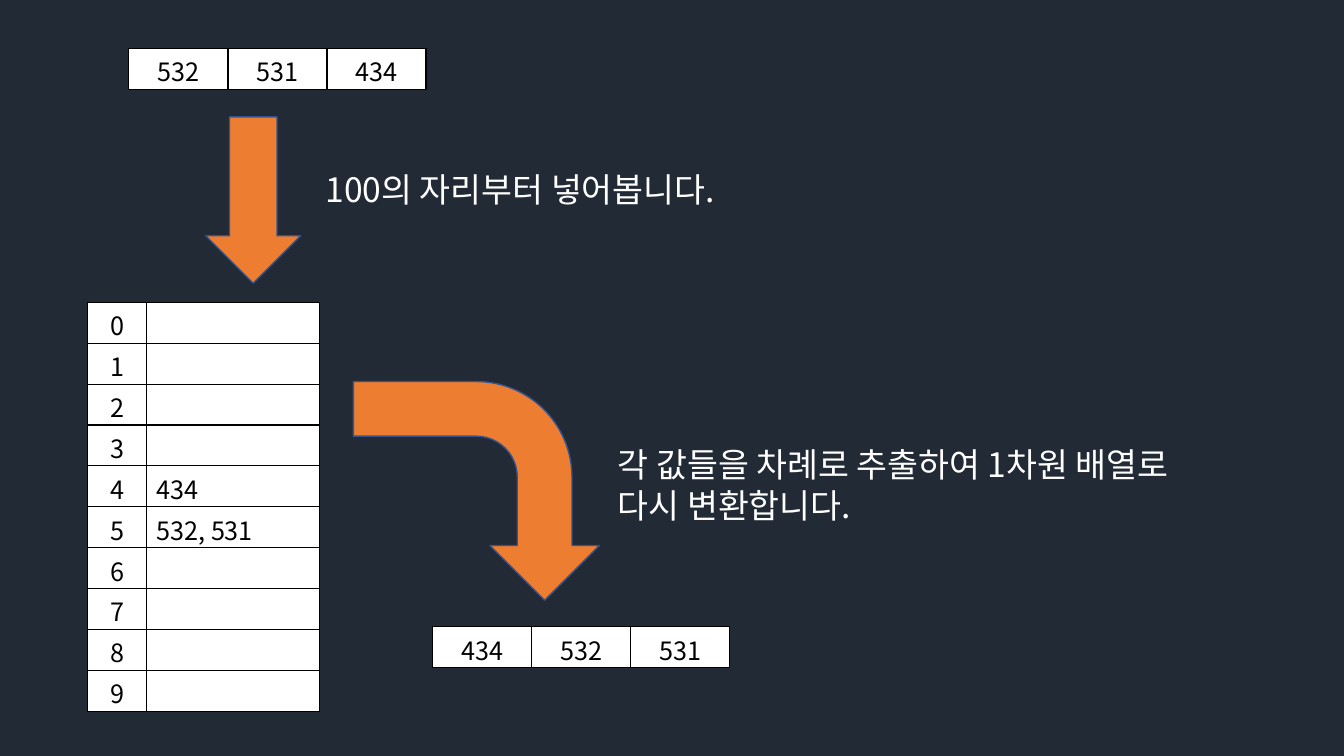
import pptx
import pptx.dml.color
import pptx.enum.shapes
import pptx.enum.text
import pptx.oxml
import pptx.oxml.ns
import pptx.util
from lxml import etree

Pt = pptx.util.Pt
RGBColor = pptx.dml.color.RGBColor
PP_ALIGN = pptx.enum.text.PP_ALIGN
ANCHOR = pptx.enum.text.MSO_ANCHOR
SHAPE = pptx.enum.shapes.MSO_SHAPE
qn = pptx.oxml.ns.qn

# Content
INPUT_VALUES = ["532", "531", "434"]
SORTED_VALUES = ["434", "532", "531"]
BUCKETS = {4: "434", 5: "532, 531"}
INSERT_NOTE = ["100의 자리부터 넣어봅니다."]
EXTRACT_NOTE = ["각 값들을 차례로 추출하여 1차원 배열로", "다시 변환합니다."]

# Format
FONT = "Noto Sans CJK KR"
NAVY = RGBColor(0x22, 0x2A, 0x35)
ORANGE = RGBColor(0xED, 0x7D, 0x31)
BLUE = RGBColor(0x32, 0x54, 0x91)
WHITE = RGBColor(0xFF, 0xFF, 0xFF)
BLACK = RGBColor(0, 0, 0)
ROW_HEIGHT = 29.2
ARRAY_COLUMN = 70.8
BUCKET_COLUMNS = [42, 123.6]


def write_text(frame, lines, size, color, align=PP_ALIGN.LEFT, spacing=None):
    for index, line in enumerate(lines):
        paragraph = frame.paragraphs[0] if index == 0 else frame.add_paragraph()
        paragraph.alignment = align
        if spacing:
            paragraph.line_spacing = Pt(spacing)
        run = paragraph.add_run()
        run.text = line
        run.font.size = Pt(size)
        run.font.name = FONT
        run.font.color.rgb = color
        east_asian = etree.SubElement(run.font._element, qn("a:ea"))
        east_asian.set("typeface", FONT)


def add_borders(cell):
    properties = cell._tc.get_or_add_tcPr()
    for index, side in enumerate(["lnL", "lnR", "lnT", "lnB"]):
        properties.insert(index, pptx.oxml.parse_xml(
            f'<a:{side} {pptx.oxml.ns.nsdecls("a")} w="12700"><a:solidFill>'
            f'<a:srgbClr val="{BLACK}"/></a:solidFill></a:{side}>'))


def add_grid(slide, left, top, rows, widths, aligns, anchor):
    table = slide.shapes.add_table(
        len(rows), len(widths), Pt(left), Pt(top),
        Pt(sum(widths)), Pt(ROW_HEIGHT * len(rows))).table
    table.first_row = table.horz_banding = False
    for column, width in zip(table.columns, widths):
        column.width = Pt(width)
    for row_index, values in enumerate(rows):
        table.rows[row_index].height = Pt(ROW_HEIGHT)
        for column_index, value in enumerate(values):
            cell = table.cell(row_index, column_index)
            cell.fill.solid()
            cell.fill.fore_color.rgb = WHITE
            cell.margin_top, cell.margin_bottom = Pt(3), Pt(0)
            cell.vertical_anchor = anchor
            add_borders(cell)
            if value:
                write_text(cell.text_frame, [value], 18, BLACK, aligns[column_index])


def add_array(slide, left, top, values):
    count = len(values)
    add_grid(slide, left, top, [values], [ARRAY_COLUMN] * count,
             [PP_ALIGN.CENTER] * count, ANCHOR.MIDDLE)


def add_arrow(slide, kind, left, top, width, height, rotation=0):
    arrow = slide.shapes.add_shape(kind, Pt(left), Pt(top), Pt(width), Pt(height))
    arrow.rotation = rotation
    arrow.shadow.inherit = False
    arrow.fill.solid()
    arrow.fill.fore_color.rgb = ORANGE
    arrow.line.color.rgb = BLUE
    arrow.line.width = Pt(1)


def add_note(slide, left, top, width, height, lines):
    box = slide.shapes.add_textbox(Pt(left), Pt(top), Pt(width), Pt(height))
    frame = box.text_frame
    frame.word_wrap = True
    frame.margin_top, frame.margin_bottom = Pt(5), Pt(2)
    write_text(frame, lines, 24, WHITE, spacing=29.3)


presentation = pptx.Presentation()
presentation.slide_width, presentation.slide_height = Pt(960), Pt(540)
slide = presentation.slides.add_slide(presentation.slide_layouts[6])
slide.background.fill.solid()
slide.background.fill.fore_color.rgb = NAVY

# Insert the values into buckets by hundreds digit
add_note(slide, 225.4, 115.2, 851.8, 36.4, INSERT_NOTE)
add_arrow(slide, SHAPE.DOWN_ARROW, 147, 83.5, 67.8, 118.8)
bucket_rows = [(str(digit), BUCKETS.get(digit, "")) for digit in range(10)]
add_grid(slide, 62.6, 216, bucket_rows, BUCKET_COLUMNS,
         [PP_ALIGN.CENTER, PP_ALIGN.LEFT], ANCHOR.TOP)

# Extract the buckets back into one array
add_arrow(slide, SHAPE.BENT_ARROW, 262.1, 262.8, 156.2, 175.7, rotation=90)
add_note(slide, 434.2, 311.8, 487.4, 65.5, EXTRACT_NOTE)

# Arrays before and after
add_array(slide, 92, 34.6, INPUT_VALUES)
add_array(slide, 309, 447.8, SORTED_VALUES)

presentation.save("out.pptx")
